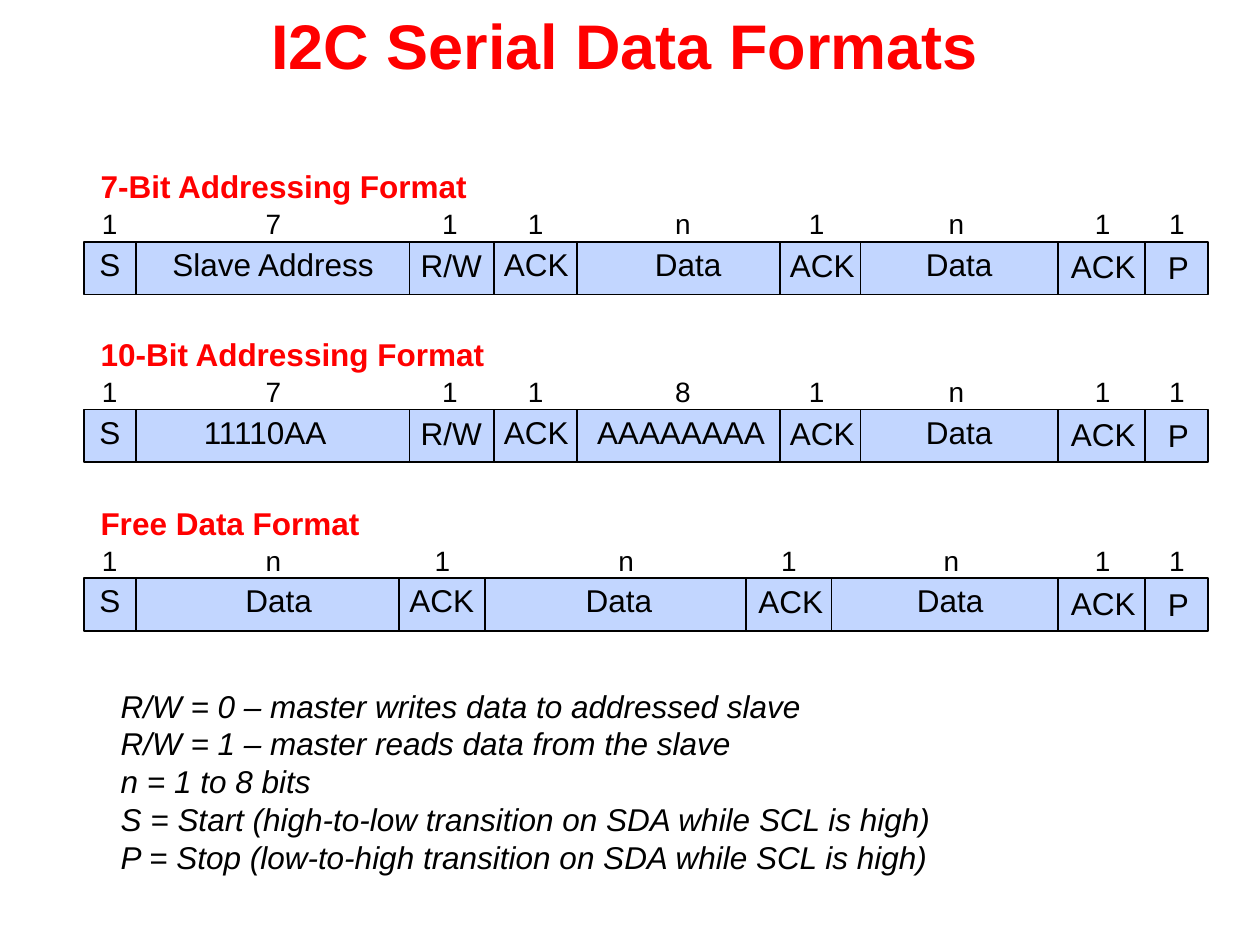
from lxml import etree
from pptx import Presentation
from pptx.dml.color import RGBColor
from pptx.enum.shapes import MSO_CONNECTOR, MSO_SHAPE
from pptx.enum.text import MSO_ANCHOR, MSO_AUTO_SIZE, PP_ALIGN
from pptx.oxml.ns import qn
from pptx.util import Pt

RED = RGBColor(0xFF, 0x00, 0x00)
BLACK = RGBColor(0x00, 0x00, 0x00)
BLUE = RGBColor(0xC2, 0xD6, 0xFF)
WHITE = RGBColor(0xFF, 0xFF, 0xFF)
RECT, STRAIGHT = MSO_SHAPE.RECTANGLE, MSO_CONNECTOR.STRAIGHT
CENTER, MIDDLE = PP_ALIGN.CENTER, MSO_ANCHOR.MIDDLE
GROW, FIXED = MSO_AUTO_SIZE.SHAPE_TO_FIT_TEXT, MSO_AUTO_SIZE.NONE

TITLE = dict(name="Arial", size=Pt(36), bold=True)
HEADING = dict(name="Arial", size=Pt(18), bold=True)
LABEL = dict(name="Arial", size=Pt(18))
BITS = dict(name="Arial", size=Pt(16))
NOTE = dict(name="Arial", size=Pt(18), italic=True)

BAR_X, BAR_W, BAR_H = 48.2, 642.2, 30.2
LABEL_W = {"S": 26.6, "P": 26.6, "R/W": 49.7, "ACK": 51.8, "Data": 52.6,
           "Slave Address": 130.3, "11110AA": 88.6, "AAAAAAAA": 110.2}

# Fields: label, label centre, label drop, bits, bits centre, right edge
START = ("S", 63, 0, "1", 62.6, 77.8)
READ_WRITE = ("R/W", 258.1, 0.7, "1", 257, 282.2)
ACK_1 = ("ACK", 306.7, 0, "1", 306, 329.8)
ACK_2 = ("ACK", 470.2, 0.7, "1", 466.6, 491.8)
LAST_DATA = ("Data", 548.3, 0, "n", 546.5, 604.8)
END = [("ACK", 630.7, 1.4, "1", 630, 654.5),
       ("P", 673.6, 2, "1", 672.5, None)]

# Formats: heading, heading width, bar top, fields
FORMATS = [
    ("7-Bit Addressing Format", 224.6, 138.2, [
        START, ("Slave Address", 156.6, 0, "7", 156.2, 234), READ_WRITE, ACK_1,
        ("Data", 393.5, 0, "n", 390.2, 445.7), ACK_2, LAST_DATA] + END),
    ("10-Bit Addressing Format", 234.7, 234, [
        START, ("11110AA", 153.7, 0, "7", 156.2, 234), READ_WRITE, ACK_1,
        ("AAAAAAAA", 389.2, 0, "8", 390.2, 445.7), ACK_2, LAST_DATA] + END),
    ("Free Data Format", 162.7, 330.4, [
        START, ("Data", 159.5, 0, "n", 156.2, 228.2),
        ("ACK", 252.7, 0, "1", 252.7, 277.2),
        ("Data", 353.9, 0, "n", 357.8, 426.2),
        ("ACK", 452.2, 0.7, "1", 450.7, 475.2),
        ("Data", 543.2, 0, "n", 543.6, 604.8)] + END),
]

NOTES = [
    "R/W = 0 – master writes data to addressed slave",
    "R/W = 1 – master reads data from the slave",
    "n = 1 to 8 bits",
    "S = Start (high-to-low transition on SDA while SCL is high)",
    "P = Stop (low-to-high transition on SDA while SCL is high)",
]


def write(p, text, fmt, color):
    r = p.add_run()
    r.text = text
    for key, value in fmt.items():
        setattr(r.font, key, value)
    r.font.color.rgb = color


def add_text(shapes, x, y, w, h, lines, fmt, color=BLACK, spacing=None):
    tf = shapes.add_textbox(Pt(x), Pt(y), Pt(w), Pt(h)).text_frame
    tf.word_wrap = False
    tf.auto_size = GROW
    for i, line in enumerate(lines):
        p = tf.add_paragraph() if i else tf.paragraphs[0]
        p.line_spacing = spacing
        write(p, line, fmt, color)


prs = Presentation()
prs.slide_width, prs.slide_height = Pt(720), Pt(540)
s = prs.slides.add_slide(prs.slide_layouts[5])
s.background.fill.solid()
s.background.fill.fore_color.rgb = WHITE

# Title
sp = s.shapes.title
sp.left, sp.top, sp.width, sp.height = Pt(0), Pt(0), Pt(714), Pt(60)
tf = sp.text_frame
tf.auto_size = FIXED
tf.vertical_anchor = MIDDLE
for side in ("left", "top", "right", "bottom"):
    setattr(tf, f"margin_{side}", Pt(3.6))
p = tf.paragraphs[0]
p.alignment = CENTER
p.line_spacing = 0.75
write(p, "I2C Serial Data Formats", TITLE, RED)

# Frame formats, one group each
for heading, heading_w, top, fields in FORMATS:
    shapes = s.shapes.add_group_shape().shapes
    bar = shapes.add_shape(RECT, Pt(BAR_X), Pt(top), Pt(BAR_W), Pt(BAR_H))
    bar.shadow.inherit = False
    bar.fill.solid()
    bar.fill.fore_color.rgb = BLUE
    bar.line.color.rgb = BLACK
    bar.line.width = Pt(1)
    add_text(shapes, 50.4, top - 42, heading_w, 24.2, [heading], HEADING, RED, 0.8)

    for label, label_x, drop, bits, bits_x, edge in fields:
        w = LABEL_W[label]
        add_text(shapes, label_x - w / 2, top + 2.4 + drop, w, 24.2,
                 [label], LABEL, spacing=0.8)
        add_text(shapes, bits_x - 11.5, top - 19.8, 23, 22.3,
                 [bits], BITS, spacing=0.8)
        if edge:
            line = shapes.add_connector(STRAIGHT, Pt(edge), Pt(top),
                                        Pt(edge), Pt(top + BAR_H))
            line.line.color.rgb = BLACK
            line.line.width = Pt(1)
            etree.SubElement(line._element.spPr, qn("a:effectLst"))

# Legend
add_text(s.shapes, 61.9, 388.8, 478.1, 115.2, NOTES, NOTE)

prs.save("out.pptx")
